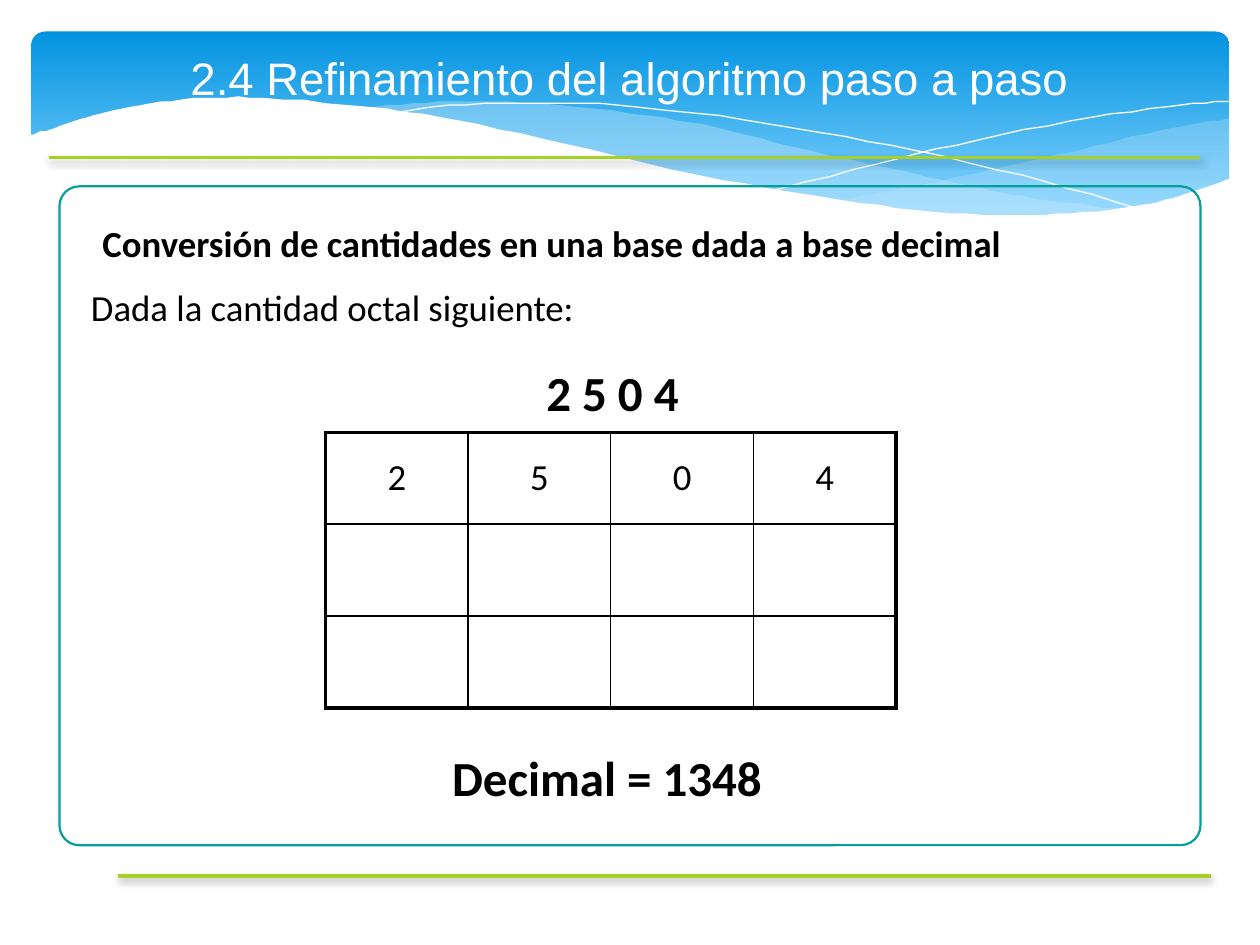
from dataclasses import dataclass
from typing import Optional

from pptx import Presentation
from pptx.dml.color import RGBColor
from pptx.enum.shapes import MSO_CONNECTOR, MSO_SHAPE
from pptx.enum.text import MSO_ANCHOR, MSO_AUTO_SIZE, PP_ALIGN
from pptx.oxml import parse_xml
from pptx.oxml.ns import nsdecls, qn
from pptx.util import Pt
from lxml.etree import SubElement

WHITE = RGBColor(0xFF, 0xFF, 0xFF)
BLACK = RGBColor(0, 0, 0)
SKY = RGBColor(0x02, 0x93, 0xE0)
PALE_SKY = RGBColor(0x83, 0xD3, 0xFE)
MIST = RGBColor(0xC6, 0xE7, 0xFC)
LIME = RGBColor(0xA5, 0xD0, 0x28)
TEAL = RGBColor(0x04, 0x9E, 0x9B)

Point = tuple[float, float]


@dataclass
class Wave:
    curves: list[list[Point]]
    corners: tuple[Point, ...] = ()
    fill: Optional[RGBColor] = None
    alpha: int = 100


@dataclass
class Label:
    text: str
    left: float
    top: float
    width: float
    height: float
    size: float = 21
    bold: bool = True
    align: PP_ALIGN = PP_ALIGN.LEFT
    anchor: MSO_ANCHOR = MSO_ANCHOR.TOP
    inset: tuple[float, float] = (14, 7.2)
    spacing: float = 0.8


WAVES = [
    Wave([[(703, 68), (682, 71), (652, 77), (620, 85), (580, 94), (525, 106), (476, 115)],
          [(476, 115), (518, 120), (562, 123), (594, 124), (628, 122), (663, 115), (703, 102)]],
         fill=MIST, alpha=29),
    Wave([[(643, 120), (602, 115), (558, 107), (508, 96), (453, 84), (410, 73), (370, 66),
           (318, 60), (274, 58), (236, 59), (206, 62)],
          [(206, 62), (246, 67), (291, 76), (353, 91), (408, 103), (456, 112), (510, 120),
           (565, 124), (610, 124), (643, 120)]],
         fill=MIST, alpha=40),
    Wave([[(222, 65), (248, 61), (299, 59), (352, 60), (400, 65), (458, 74), (523, 86),
           (598, 104), (653, 120)]]),
    Wave([[(441, 109), (500, 94), (559, 80), (624, 67), (675, 60), (702, 58)]]),
    Wave([[(703, 102), (677, 111), (647, 118), (612, 122), (572, 123), (523, 120), (467, 112),
           (399, 100), (322, 82), (263, 69), (210, 61), (152, 56), (116, 56), (86, 59),
           (61, 64), (43, 69), (29, 74), (17, 77)]],
         corners=((17, 161), (703, 161)), fill=WHITE),
]

LABELS = [
    Label("Dada la cantidad octal siguiente:", 38, 160.5, 648, 31, bold=False),
    Label("2 5 0 4", 168.5, 205, 363, 42, size=28, align=PP_ALIGN.CENTER,
          anchor=MSO_ANCHOR.MIDDLE, inset=(7.2, 3.6), spacing=0.9),
    Label("Decimal = 1348 ", 168.5, 427.5, 363, 42, size=28, align=PP_ALIGN.CENTER,
          inset=(7.2, 3.6), spacing=0.9),
    Label("Conversión de cantidades en una base dada a base decimal", 44.5, 124, 613, 42),
]

DIGITS = ["2", "5", "0", "4"]
ROWS = 3


def smooth_curve(knots: list[Point], steps: int = 5) -> list[Point]:
    padded = [knots[0], *knots, knots[-1]]
    points = [knots[0]]
    for a, b, c, d in zip(padded, padded[1:], padded[2:], padded[3:]):
        for i in range(1, steps + 1):
            t = i / steps
            points.append(tuple(
                b[k] + t / 2 * (c[k] - a[k] + t * (2 * a[k] - 5 * b[k] + 4 * c[k] - d[k]
                                + t * (3 * b[k] - a[k] - 3 * c[k] + d[k])))
                for k in (0, 1)))
    return points


def add_wave(s, wave: Wave) -> None:
    points = [p for curve in wave.curves for p in smooth_curve(curve)] + list(wave.corners)
    builder = s.shapes.build_freeform(*points[0], scale=float(Pt(1)))
    builder.add_line_segments(points[1:], close=wave.fill is not None)
    sp = builder.convert_to_shape()
    sp.shadow.inherit = False
    if wave.fill is None:
        sp.fill.background()
        sp.line.color.rgb = WHITE
        sp.line.width = Pt(0)
        return
    sp.fill.solid()
    sp.fill.fore_color.rgb = wave.fill
    sp.line.fill.background()
    if wave.alpha < 100:
        color = sp.element.spPr.find(qn("a:solidFill"))[0]
        SubElement(color, qn("a:alpha"), val=str(wave.alpha * 1000))


def add_rounded(s, left: float, top: float, width: float, height: float, radius: float):
    sp = s.shapes.add_shape(MSO_SHAPE.ROUNDED_RECTANGLE, Pt(left), Pt(top), Pt(width), Pt(height))
    sp.adjustments[0] = radius
    sp.shadow.inherit = False
    return sp


def add_rule(s, left: float, right: float, y: float) -> None:
    rule = s.shapes.add_connector(MSO_CONNECTOR.STRAIGHT, Pt(right), Pt(y), Pt(left), Pt(y))
    rule.line.color.rgb = LIME
    rule.line.width = Pt(2)
    rule.element.spPr.append(parse_xml(
        f'<a:effectLst {nsdecls("a")}><a:outerShdw blurRad="{Pt(4)}" dist="{Pt(2)}" '
        'dir="5400000" rotWithShape="0"><a:srgbClr val="000000"><a:alpha val="38000"/>'
        '</a:srgbClr></a:outerShdw></a:effectLst>'))


def write(tf, text: str, size: float, font: str = "Calibri", color: RGBColor = BLACK,
          bold: bool = False, align: PP_ALIGN = PP_ALIGN.CENTER, spacing: float = 1.0) -> None:
    p = tf.paragraphs[0]
    p.alignment = align
    p.line_spacing = spacing
    r = p.add_run()
    r.text = text
    r.font.name, r.font.size, r.font.bold = font, Pt(size), bold
    r.font.color.rgb = color


def add_label(s, label: Label) -> None:
    box = s.shapes.add_textbox(Pt(label.left), Pt(label.top), Pt(label.width), Pt(label.height))
    tf = box.text_frame
    tf.word_wrap = True
    tf.vertical_anchor = label.anchor
    tf.margin_left, tf.margin_top = (Pt(v) for v in label.inset)
    write(tf, label.text, label.size, bold=label.bold, align=label.align, spacing=label.spacing)


def set_borders(cell, widths: dict[str, float]) -> None:
    tc_pr = cell._tc.get_or_add_tcPr()
    for i, (side, width) in enumerate(widths.items()):
        tc_pr.insert(i, parse_xml(
            f'<a:ln{side} {nsdecls("a")} w="{Pt(width)}"><a:solidFill>'
            f'<a:srgbClr val="{BLACK}"/></a:solidFill></a:ln{side}>'))


def add_digit_table(s) -> None:
    cols = len(DIGITS)
    table = s.shapes.add_table(ROWS, cols, Pt(186), Pt(247), Pt(326), Pt(157.5)).table
    table.first_row = table.horz_banding = False
    for row in range(ROWS):
        for col, digit in enumerate(DIGITS):
            cell = table.cell(row, col)
            cell.fill.background()
            cell.vertical_anchor = MSO_ANCHOR.MIDDLE
            outer = {"L": col == 0, "R": col == cols - 1, "T": row == 0, "B": row == ROWS - 1}
            set_borders(cell, {side: 2.25 if edge else 1 for side, edge in outer.items()})
            if row == 0:
                write(cell.text_frame, digit, 21)


def place_title(s) -> None:
    title = s.shapes.title
    title.left, title.top, title.width, title.height = Pt(0), Pt(0), Pt(720), Pt(88.5)
    tf = title.text_frame
    tf.auto_size = MSO_AUTO_SIZE.NONE
    tf.vertical_anchor = MSO_ANCHOR.MIDDLE
    write(tf, "2.4 Refinamiento del algoritmo paso a paso", 26, font="Arial", color=WHITE)
    title.element.getparent().append(title.element)


def main() -> None:
    prs = Presentation()
    prs.slide_width, prs.slide_height = Pt(720), Pt(540)
    s = prs.slides.add_slide(prs.slide_layouts[5])
    banner = add_rounded(s, 18, 18, 684.5, 112.5, 0.07)
    banner.line.fill.background()
    banner.fill.gradient()
    banner.fill.gradient_angle = 270
    for stop, color, position in zip(banner.fill.gradient_stops, (SKY, PALE_SKY), (0, 0.9)):
        stop.color.rgb = color
        stop.position = position
    for wave in WAVES:
        add_wave(s, wave)
    add_rule(s, 28, 686, 90)
    add_rule(s, 67.5, 692, 500.5)
    frame = add_rounded(s, 34, 106.5, 652, 376.5, 0.03)
    frame.fill.background()
    frame.line.color.rgb = TEAL
    frame.line.width = Pt(1.25)
    add_digit_table(s)
    for label in LABELS:
        add_label(s, label)
    place_title(s)
    prs.save("out.pptx")


main()
